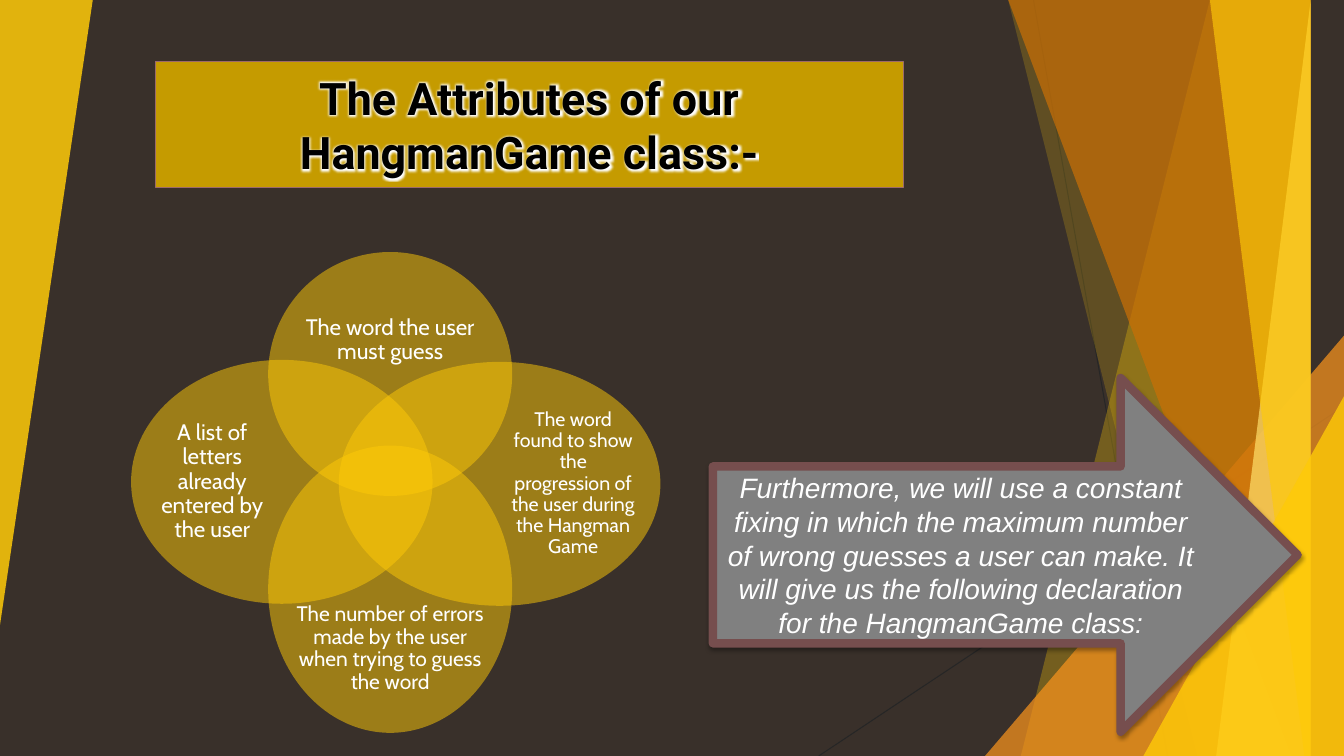
from lxml import etree
from pptx import Presentation
from pptx.dml.color import RGBColor
from pptx.enum.shapes import MSO_CONNECTOR, MSO_SHAPE
from pptx.enum.text import MSO_ANCHOR, PP_ALIGN
from pptx.oxml.ns import qn
from pptx.util import Inches, Pt

LINE = MSO_CONNECTOR.STRAIGHT
TRIANGLE, OVAL, ARROW = MSO_SHAPE.ISOSCELES_TRIANGLE, MSO_SHAPE.OVAL, MSO_SHAPE.RIGHT_ARROW
MIDDLE, CENTER = MSO_ANCHOR.MIDDLE, PP_ALIGN.CENTER
W, H = 13.33, 7.5

COLORS = {
    "background": "39302A", "hairline": "262626", "gold": "FFCA08",
    "orange": "F8931D", "rust": "CA6F06", "cream": "FFDF6B",
    "banner": "C59B00", "banner_line": "9C6A6A", "arrow": "808080",
    "arrow_line": "764E4E", "white": "FFFFFF", "black": "000000",
}


def rgb(name):
    return RGBColor.from_string(COLORS[name])


def sub(parent, tag, **attrs):
    return etree.SubElement(parent, qn(tag), {k: str(v) for k, v in attrs.items()})


def paint(sp, fill, alpha=100, line=None, width=1):
    """Fill a shape, with opacity in percent, and outline it if asked."""
    sp.shadow.inherit = False
    sp.fill.solid()
    sp.fill.fore_color.rgb = rgb(fill)
    if alpha < 100:
        color = sp._element.spPr.find(qn("a:solidFill"))[0]
        sub(color, "a:alpha", val=alpha * 1000)
    if line:
        sp.line.color.rgb = rgb(line)
        sp.line.width = Pt(width)
    else:
        sp.line.fill.background()


def add_shape(s, kind, box, *style):
    sp = s.shapes.add_shape(kind, *map(Inches, box))
    paint(sp, *style)
    return sp


def write(sp, text, color, margin=None, spacing=None, **font):
    tf = sp.text_frame
    tf.word_wrap, tf.vertical_anchor = True, MIDDLE
    if margin is not None:
        for side in ("left", "top", "right", "bottom"):
            setattr(tf, f"margin_{side}", Inches(margin))
    p = tf.paragraphs[0]
    p.alignment = CENTER
    if spacing:
        p.line_spacing = spacing
    r = p.add_run()
    r.text = text
    r.font.color.rgb = rgb(color)
    for key, value in font.items():
        setattr(r.font, key, value)
    return r


def add_backdrop(s, w, h):
    """Hairlines and translucent facets along both edges."""
    for ends in ((10.25, 0, 11.58, h), (w, 4.03, 8.12, h)):
        ln = s.shapes.add_connector(LINE, *map(Inches, ends))
        ln.line.color.rgb = rgb("hairline")
        ln.line.width = Pt(0.75)
        sub(ln._element.spPr, "a:effectLst")

    def facet(top_x, bottom_x, fill, alpha):
        fb = s.shapes.build_freeform(top_x, 0, scale=Inches(1))
        fb.add_line_segments([(w, 0), (w, h), (bottom_x, h)], close=True)
        paint(fb.convert_to_shape(), fill, alpha)

    def corner(width, height, fill, alpha):
        sp = add_shape(s, TRIANGLE, (w - width, h - height, width, height), fill, alpha)
        sp.adjustments[0] = 1
        return sp

    facet(12.28, 10.04, "gold", 30)
    facet(10.5, 11.83, "gold", 20)
    corner(3.56, 4.17, "orange", 72)
    facet(10.21, 12.91, "rust", 70)
    facet(13.03, 11.92, "cream", 70)
    facet(11.96, 13.18, "gold", 65)
    corner(1.99, 3.57, "gold", 80)
    left = corner(0.92, 6.2, "gold", 85)
    left.left = left.top = 0
    left.rotation = 180


def add_title(s, box, text):
    """Title placeholder shaped as a rounded banner with glowing text."""
    sp = s.shapes.title
    sp.left, sp.top, sp.width, sp.height = map(Inches, box)
    geom = sub(sp._element.spPr, "a:prstGeom", prst="flowChartTerminator")
    sub(geom, "a:avLst")
    paint(sp, "banner", 100, "banner_line", 1)
    r = write(sp, text, "black", size=Pt(32), name="Roboto", bold=True)
    effects = etree.Element(qn("a:effectLst"))
    glow = sub(effects, "a:glow", rad=Pt(4))
    sub(glow, "a:srgbClr", val=COLORS["white"])
    r._r.rPr.find(qn("a:solidFill")).addnext(effects)


def add_venn(s, x, y):
    """Four overlapping ovals: oval box, label box, text size and text."""
    petals = [
        ((1.36, 0, 2.42, 2.42), (1.64, 0.49, 1.86, 0.77), 16,
         "The word the user must guess"),
        ((2.06, 1.09, 3.19, 2.42), (3.77, 1.37, 1.23, 1.86), 14,
         "The word found to show the progression of the user during the Hangman Game"),
        ((1.36, 1.92, 2.42, 2.85), (1.64, 3.48, 1.86, 0.91), 15,
         "The number of errors made by the user when trying to guess the word"),
        ((0, 1.07, 2.99, 2.42), (0.23, 1.35, 1.15, 1.86), 16,
         "A list of letters already entered by the user"),
    ]
    for (ox, oy, *oval), (lx, ly, *label), size, text in petals:
        add_shape(s, OVAL, (x + ox, y + oy, *oval), "gold", 50)
        tb = s.shapes.add_textbox(*map(Inches, (x + lx, y + ly, *label)))
        write(tb, text, "white", margin=0, spacing=0.9, size=Pt(size), name="Cabin")


def add_arrow(s, box, text):
    """Block arrow with a soft shadow below it."""
    sp = add_shape(s, ARROW, box, "arrow", 100, "arrow_line", 6)
    effects = sp._element.spPr.find(qn("a:effectLst"))
    shadow = sub(effects, "a:outerShdw", blurRad=Pt(3), dist=Pt(2),
                 dir=90 * 60000, rotWithShape=0)
    color = sub(shadow, "a:srgbClr", val=COLORS["black"])
    sub(color, "a:alpha", val=35000)
    write(sp, text, "white", size=Pt(20), name="Arial", italic=True)


def main():
    prs = Presentation()
    prs.slide_width, prs.slide_height = Inches(W), Inches(H)
    s = prs.slides.add_slide(prs.slide_layouts[5])
    s.background.fill.solid()
    s.background.fill.fore_color.rgb = rgb("background")
    add_backdrop(s, W, H)
    add_venn(s, 1.3, 2.5)
    add_title(s, (1.54, 0.61, 7.42, 1.25), "The Attributes of our HangmanGame class:-")
    add_arrow(s, (7.07, 3.75, 5.8, 3.51),
              "Furthermore, we will use a constant fixing in which the maximum number "
              "of wrong guesses a user can make. It will give us the following "
              "declaration for the HangmanGame class:")
    prs.save("out.pptx")


if __name__ == "__main__":
    main()
